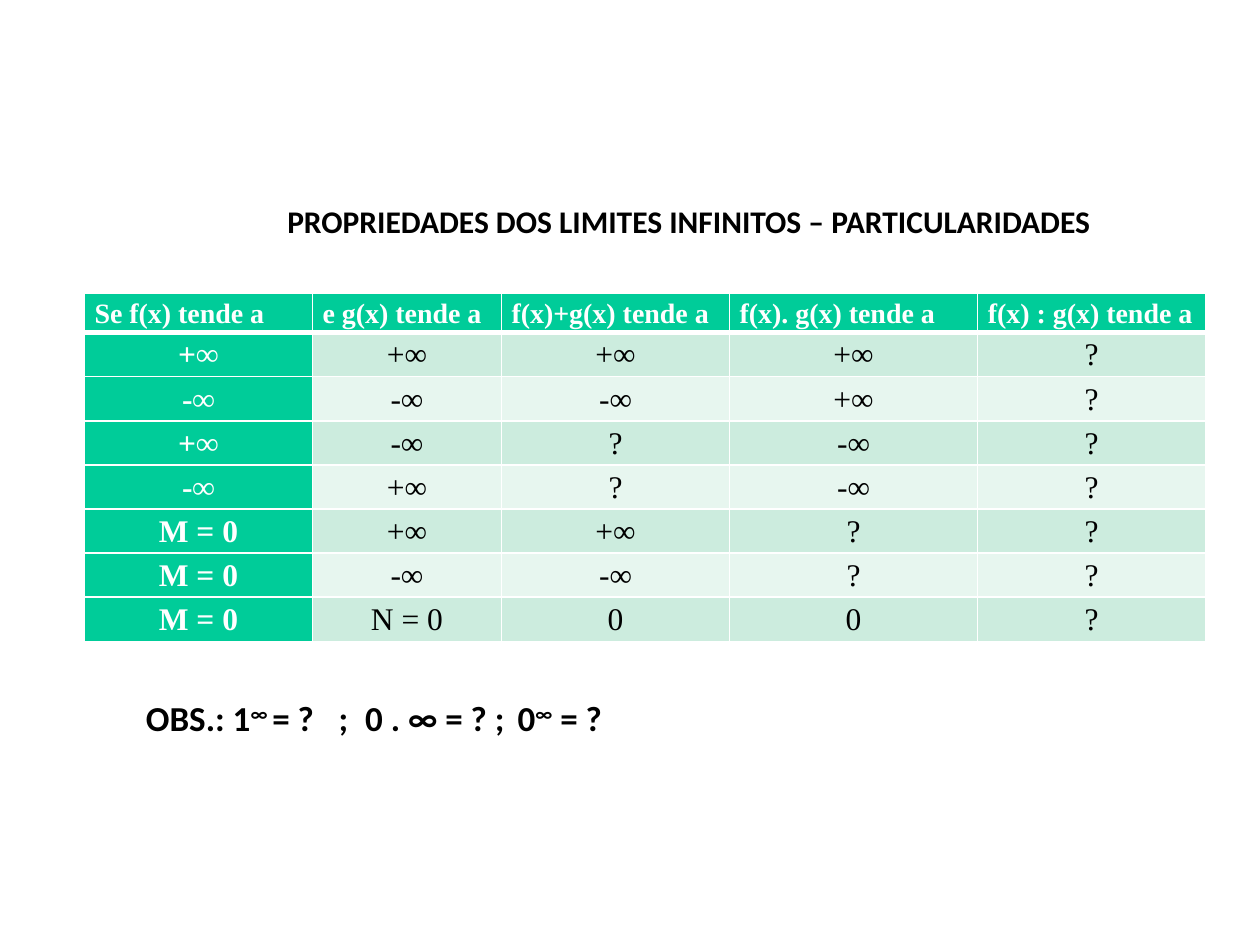
from lxml.etree import SubElement
from pptx import Presentation
from pptx.dml.color import RGBColor
from pptx.enum.text import MSO_ANCHOR, PP_ALIGN
from pptx.oxml.ns import qn
from pptx.util import Inches, Pt


def style(span, size, name, color, bold):
    span.font.size = Pt(size)
    span.font.name = name
    span.font.bold = bold
    span.font.color.rgb = RGBColor.from_string(color)


def add_border(cell, side, width, color):
    line = SubElement(cell._tc.get_or_add_tcPr(), qn(f"a:{side}"), w=str(Pt(width)))
    fill = SubElement(line, qn("a:solidFill"))
    SubElement(fill, qn("a:srgbClr"), val=color)


deck = Presentation()
deck.slide_width = Inches(10)
deck.slide_height = Inches(7.5)
page = deck.slides.add_slide(deck.slide_layouts[5])

title = page.shapes.title
title.left, title.top = Inches(1.5), Inches(1.55)
title.width, title.height = Inches(7.33), Inches(0.4)
frame = title.text_frame
frame.text = "PROPRIEDADES DOS LIMITES INFINITOS – PARTICULARIDADES"
frame.word_wrap = True
frame.vertical_anchor = MSO_ANCHOR.MIDDLE
frame.margin_left, frame.margin_right = Inches(0.78), 0
frame.paragraphs[0].alignment = PP_ALIGN.LEFT
style(frame.paragraphs[0].runs[0], 18, "Calibri", "000000", True)

rows = [
    ["Se f(x) tende a", "e g(x) tende a", "f(x)+g(x) tende a", "f(x). g(x) tende a", "f(x) : g(x) tende a"],
    ["+∞", "+∞", "+∞", "+∞", "?"],
    ["-∞", "-∞", "-∞", "+∞", "?"],
    ["+∞", "-∞", "?", "-∞", "?"],
    ["-∞", "+∞", "?", "-∞", "?"],
    ["M = 0", "+∞", "+∞", "?", "?"],
    ["M = 0", "-∞", "-∞", "?", "?"],
    ["M = 0", "N = 0", "0", "0", "?"],
]
widths = [1.81, 1.5, 1.81, 1.97, 1.81]
table = page.shapes.add_table(
    len(rows), len(widths), Inches(0.67), Inches(2.33), Inches(8.9), Inches(2.72)
).table
for column, width in zip(table.columns, widths):
    column.width = Inches(width)

for r, values in enumerate(rows):
    table.rows[r].height = Inches(0.35 if r else 0.31)
    for c, value in enumerate(values):
        cell = table.cell(r, c)
        heading = r == 0 or c == 0
        cell.margin_left = cell.margin_right = Inches(0.08)
        cell.margin_top = cell.margin_bottom = 0
        add_border(cell, "lnL", 1, "FFFFFF")
        add_border(cell, "lnR", 1, "FFFFFF")
        add_border(cell, "lnT", 3 if r == 1 else 1, "FFFFFF")
        add_border(cell, "lnB", 3 if r == 0 else 1, "FFFFFF")
        cell.fill.solid()
        band = "CCECDE" if r % 2 else "E7F6EF"
        cell.fill.fore_color.rgb = RGBColor.from_string("00CC99" if heading else band)
        cell.text_frame.text = value
        paragraph = cell.text_frame.paragraphs[0]
        paragraph.line_spacing = 1.15
        paragraph.alignment = PP_ALIGN.CENTER if r else PP_ALIGN.LEFT
        style(paragraph.runs[0], 18 if r else 16, "Times New Roman",
              "FFFFFF" if heading else "000000", heading)

box = page.shapes.add_textbox(Inches(1.06), Inches(5.48), Inches(4.65), Inches(0.84))
box.text_frame.word_wrap = True
paragraph = box.text_frame.paragraphs[0]
tabs = SubElement(paragraph._p.get_or_add_pPr(), qn("a:tabLst"))
for position in (1.53, 1.74, 2.95):
    SubElement(tabs, qn("a:tab"), pos=str(Inches(position)), algn="l")
pieces = [
    ("OBS.: 1", False),
    ("∞ ", True),
    ("= ?\t;\t0 . ∞ = ? ;\t0", False),
    ("∞", True),
    (" = ?", False),
]
for text, raised in pieces:
    span = paragraph.add_run()
    span.text = text
    style(span, 20, "Calibri", "000000", True)
    if raised:
        span.font._element.set("baseline", "30000")

deck.save("out.pptx")
